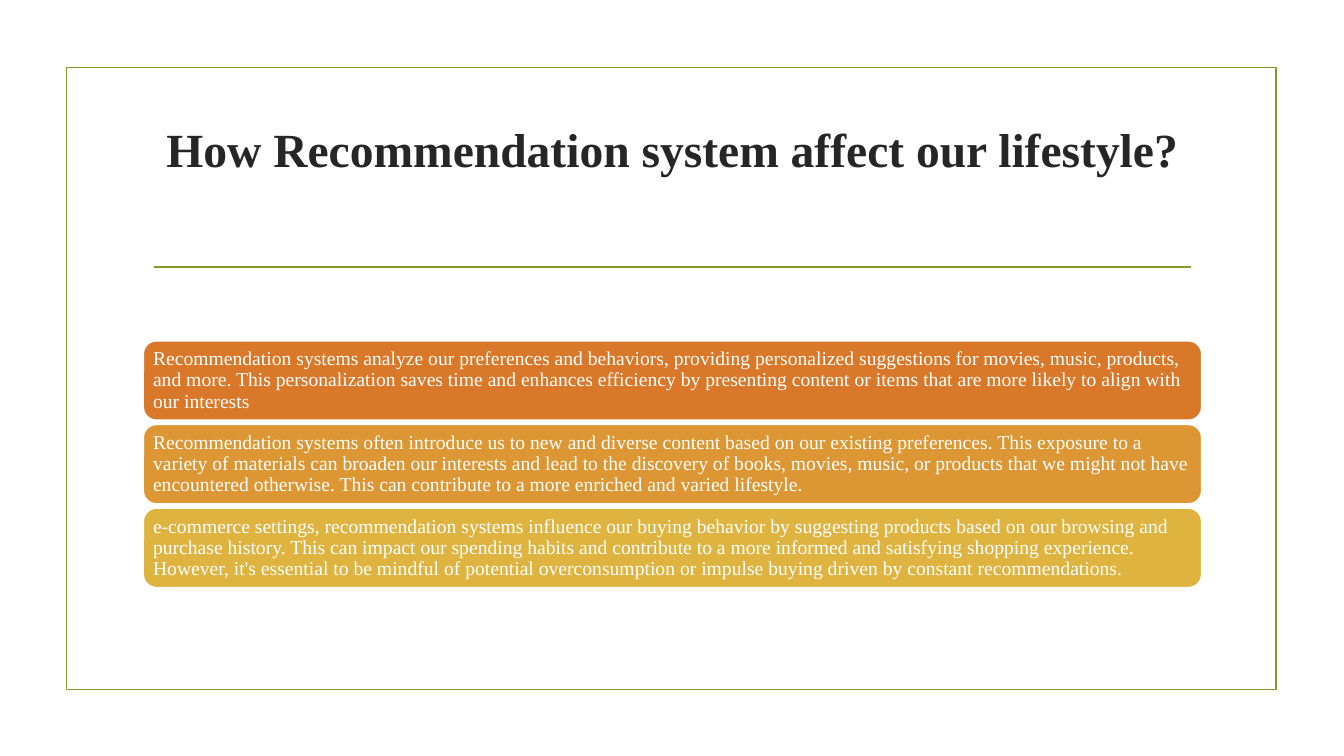
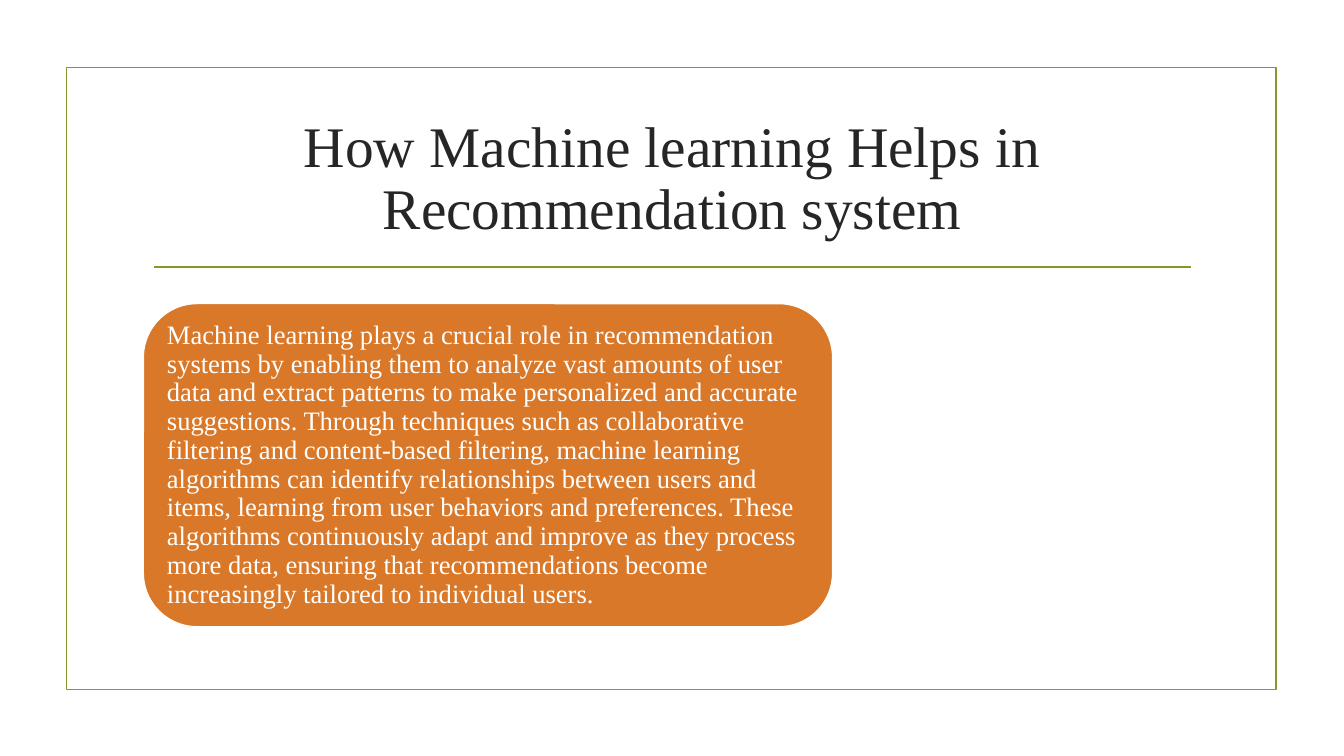
"""Build two slides on recommendation systems and their use of machine learning."""
from pptx import Presentation, util as u
from pptx.dml.color import RGBColor
from pptx.enum import shapes, text
from pptx.oxml.ns import qn
from lxml import etree

OLIVE = RGBColor(0x83, 0x99, 0x2A)
INK = RGBColor(0x26, 0x26, 0x26)
WHITE = RGBColor(0xFF, 0xFF, 0xFF)
ORANGE = RGBColor(0xD9, 0x78, 0x28)
AMBER = RGBColor(0xDC, 0x97, 0x34)
GOLD = RGBColor(0xDE, 0xB3, 0x40)

FONT = "Times New Roman"
LINE_WIDTH = u.Pt(1.25)
WIDTH, HEIGHT = 13.33, 7.5
CONTENT_LEFT, CONTENT_WIDTH = 1.42, 10.5
CARDS_TOP, CARD_HEIGHT, CARD_PITCH = 3.38, 0.79, 0.83

EFFECTS = [
    (ORANGE, "Recommendation systems analyze our preferences and behaviors, providing "
     "personalized suggestions for movies, music, products, and more. This personalization "
     "saves time and enhances efficiency by presenting content or items that are more likely "
     "to align with our interests"),
    (AMBER, "Recommendation systems often introduce us to new and diverse content based on our "
     "existing preferences. This exposure to a variety of materials can broaden our interests "
     "and lead to the discovery of books, movies, music, or products that we might not have "
     "encountered otherwise. This can contribute to a more enriched and varied lifestyle."),
    (GOLD, "e-commerce settings, recommendation systems influence our buying behavior by "
     "suggesting products based on our browsing and purchase history. This can impact our "
     "spending habits and contribute to a more informed and satisfying shopping experience. "
     "However, it's essential to be mindful of potential overconsumption or impulse buying "
     "driven by constant recommendations."),
]
ML_ROLE = (
    "Machine learning plays a crucial role in recommendation systems by enabling them to analyze "
    "vast amounts of user data and extract patterns to make personalized and accurate "
    "suggestions. Through techniques such as collaborative filtering and content-based "
    "filtering, machine learning algorithms can identify relationships between users and items, "
    "learning from user behaviors and preferences. These algorithms continuously adapt and "
    "improve as they process more data, ensuring that recommendations become increasingly "
    "tailored to individual users."
)


def write(frame, words, size, color, align, bold=False):
    """Fill a text frame with one formatted, vertically centred paragraph."""
    frame.text = words
    frame.word_wrap = True
    frame.auto_size = text.MSO_AUTO_SIZE.NONE
    frame.vertical_anchor = text.MSO_ANCHOR.MIDDLE
    paragraph = frame.paragraphs[0]
    paragraph.alignment = align
    paragraph.line_spacing = 0.9
    paragraph.space_before = u.Pt(0)
    font = paragraph.runs[0].font
    font.name, font.size, font.bold = FONT, u.Pt(size), bold
    font.color.rgb = color


def add_panel(slide, kind, box, line, fill=None):
    """Add an outlined shape at a box in inches, filled when a colour is given."""
    panel = slide.shapes.add_shape(kind, *map(u.Inches, box))
    panel.shadow.inherit = False
    panel.line.color.rgb, panel.line.width = line, LINE_WIDTH
    if fill is None:
        panel.fill.background()
    else:
        panel.fill.solid()
        panel.fill.fore_color.rgb = fill
    return panel


def add_rule(slide):
    """Draw the line below the title."""
    rule = slide.shapes.add_connector(
        shapes.MSO_CONNECTOR.STRAIGHT, *map(u.Inches, (1.53, 2.65, 11.81, 2.65)))
    rule.line.color.rgb, rule.line.width = OLIVE, LINE_WIDTH
    etree.SubElement(rule.element.spPr, qn("a:effectLst"))


def add_card(slide, words, box, fill, size, inset):
    """Add a rounded card with left-aligned white text."""
    card = add_panel(slide, shapes.MSO_SHAPE.ROUNDED_RECTANGLE, box, WHITE, fill)
    frame = card.text_frame
    frame.margin_left = frame.margin_right = u.Inches(inset)
    frame.margin_top = frame.margin_bottom = u.Inches(inset)
    write(frame, words, size, WHITE, text.PP_ALIGN.LEFT)


def add_framed_slide(prs, heading, size, bold=False, bottom_inset=0.05):
    """Add a slide with the shared border, rule and title."""
    slide = prs.slides.add_slide(prs.slide_layouts.get_by_name("Title Only"))
    add_panel(slide, shapes.MSO_SHAPE.RECTANGLE, (0.66, 0.67, 12, 6.17), OLIVE)
    add_rule(slide)
    title = slide.shapes.title
    title.left, title.top = u.Inches(CONTENT_LEFT), u.Inches(1.07)
    title.width, title.height = u.Inches(CONTENT_WIDTH), u.Inches(1.43)
    title.text_frame.margin_bottom = u.Inches(bottom_inset)
    write(title.text_frame, heading, size, INK, text.PP_ALIGN.CENTER, bold)
    return slide


def main():
    """Build and save the presentation."""
    prs = Presentation()
    prs.slide_width, prs.slide_height = u.Inches(WIDTH), u.Inches(HEIGHT)

    lifestyle = add_framed_slide(prs, "How Recommendation system affect our lifestyle?", 34,
                                 bold=True, bottom_inset=0.6)
    for row, (fill, words) in enumerate(EFFECTS):
        box = (CONTENT_LEFT, CARDS_TOP + row * CARD_PITCH, CONTENT_WIDTH, CARD_HEIGHT)
        add_card(lifestyle, words, box, fill, 14, 0.06)

    learning = add_framed_slide(prs, "How Machine learning Helps in Recommendation system", 41)
    add_card(learning, ML_ROLE, (CONTENT_LEFT, 3.01, 6.84, 3.21), ORANGE, 19, 0.08)

    prs.save("out.pptx")


if __name__ == "__main__":
    main()
